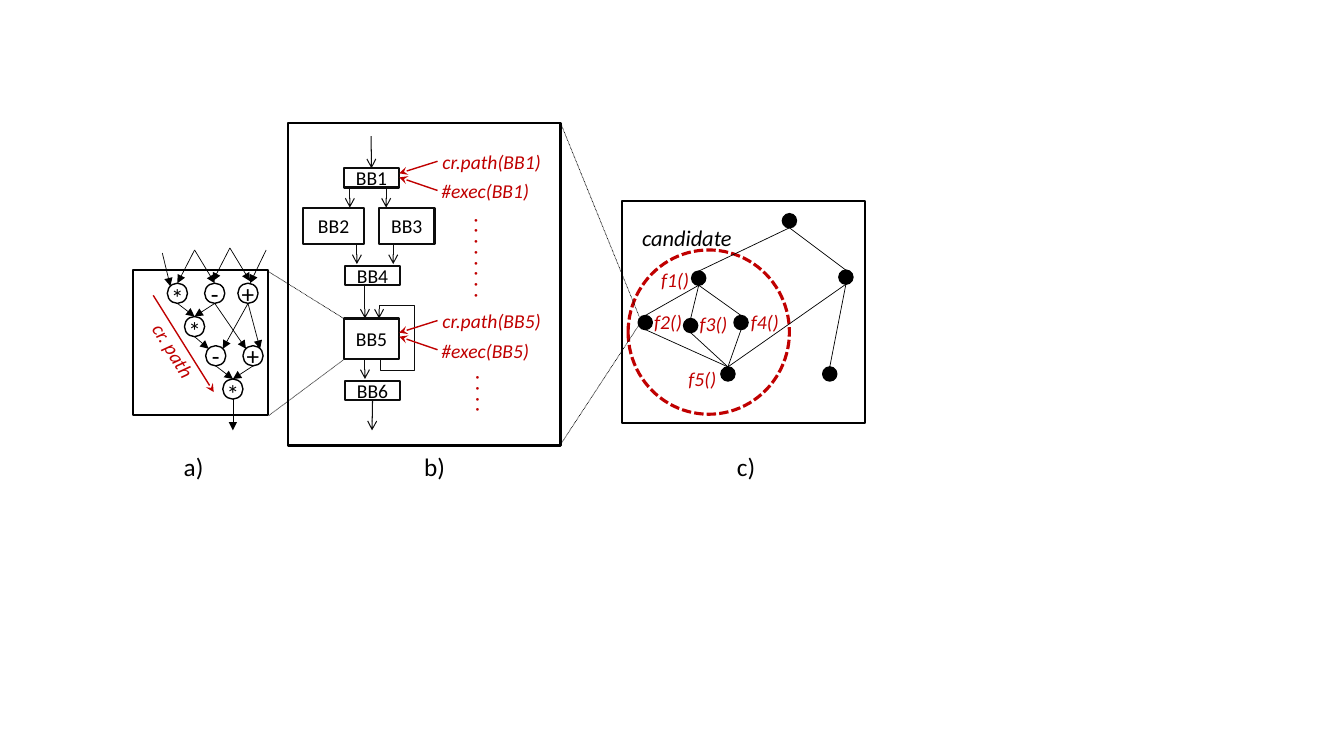
from lxml import etree
from pptx import Presentation, util as u
from pptx.dml.color import RGBColor
from pptx.enum import dml, shapes, text
from pptx.oxml.ns import qn

BLACK, INK, RED = "000000", "0D0D0D", "C00000"
RECT, OVAL = shapes.MSO_SHAPE.RECTANGLE, shapes.MSO_SHAPE.OVAL


def rgb(color):
    return RGBColor.from_string(color)


def set_line(sp, color, width, dash=None, head=None):
    sp.line.color.rgb = rgb(color)
    sp.line.width = u.Pt(width)
    if dash:
        sp.line.dash_style = dash
    if head:
        etree.SubElement(sp.line._get_or_add_ln(), qn("a:tailEnd"), type=head)


def set_text(tf, words, size, color, italic=False):
    tf.word_wrap = False
    p = tf.paragraphs[0]
    p.text = words
    p.font.name, p.font.size, p.font.italic = "Calibri", u.Pt(size), italic
    p.font.color.rgb = rgb(color)
    return p


def add_shape(s, kind, box, color=BLACK, width=1.5, fill=None, dash=None, words=None, size=14):
    sp = s.shapes.add_shape(kind, *map(u.Inches, box))
    sp.shadow.inherit = False
    if fill:
        sp.fill.solid()
        sp.fill.fore_color.rgb = rgb(fill)
    else:
        sp.fill.background()
    set_line(sp, color, width, dash)
    if words:
        tf = sp.text_frame
        tf.margin_left = tf.margin_right = tf.margin_bottom = 0
        tf.margin_top = u.Inches(0.08 if words == "*" else 0)
        tf.vertical_anchor = text.MSO_ANCHOR.MIDDLE
        set_text(tf, words, size, BLACK).alignment = text.PP_ALIGN.CENTER
    return sp


def add_line(s, start, end, color=BLACK, width=0.5, dash=None, head=None):
    ln = s.shapes.add_connector(shapes.MSO_CONNECTOR.STRAIGHT, *map(u.Inches, start + end))
    set_line(ln, color, width, dash, head)
    etree.SubElement(ln._element.spPr, qn("a:effectLst"))
    return ln


def add_label(s, words, x, y, w, size=14, color=RED, italic=True, turn=0, centered=False):
    h = {14: 0.34, 16: 0.37, 18: 0.4}[size]
    tb = s.shapes.add_textbox(*map(u.Inches, (x, y, w, h)))
    tb.rotation = turn
    p = set_text(tb.text_frame, words, size, color, italic)
    tb.text_frame.auto_size = text.MSO_AUTO_SIZE.SHAPE_TO_FIT_TEXT
    if turn or centered:
        p.alignment = text.PP_ALIGN.CENTER


def add_caption(s, words, center):
    add_label(s, words, center - 0.3, 4.43, 0.6, 18, BLACK, False, centered=True)


def dataflow(s, box):
    x, y = box[:2]

    def at(dx, dy):
        return x + dx, y + dy

    add_shape(s, RECT, box)
    r = 0.1
    ops = {"m1": ("*", 0.44, 0.23), "d1": ("-", 0.81, 0.23), "p1": ("+", 1.14, 0.23),
           "m2": ("*", 0.61, 0.56), "d2": ("-", 0.82, 0.85), "p2": ("+", 1.19, 0.85),
           "m3": ("*", 0.99, 1.18)}
    for sign, cx, cy in ops.values():
        add_shape(s, OVAL, at(cx - r, cy - r) + (2 * r, 2 * r), width=1, words=sign, size=18)

    def below(name):
        return at(ops[name][1], ops[name][2] + r)

    for a, b in (("m1", "m2"), ("d1", "m2"), ("d2", "m3"), ("p2", "m3")):
        add_line(s, below(a), at(ops[b][1], ops[b][2] - r), head="triangle")
    for a, end in (("p1", (0.89, 0.78)), ("m2", (0.75, 0.78)), ("p1", (1.26, 0.78)),
                   ("d1", (1.12, 0.78)), ("m3", (0.99, 1.59))):
        add_line(s, below(a), at(*end), head="triangle")
    for start, end in (((0.29, -0.17), (0.37, 0.16)), ((0.61, -0.2), (0.44, 0.13)),
                       ((0.61, -0.2), (0.81, 0.13)), ((0.96, -0.22), (0.79, 0.11)),
                       ((0.96, -0.22), (1.16, 0.11)), ((1.32, -0.2), (1.16, 0.13))):
        add_line(s, at(*start), at(*end), head="triangle")
    add_line(s, at(0.2, 0.25), at(0.8, 1.21), RED, 1, head="stealth")
    add_label(s, "cr. path", x, y + 0.63, 0.8, turn=58.3)


def control_flow(s, box):
    x, y = box[:2]

    def at(dx, dy):
        return x + dx, y + dy

    add_shape(s, RECT, box)
    blocks = {}
    for n, (dx, dy, w, h) in enumerate((
            (0.55, 0.45, 0.55, 0.19), (0.15, 0.84, 0.6, 0.36), (0.9, 0.84, 0.55, 0.36),
            (0.56, 1.42, 0.55, 0.19), (0.55, 1.94, 0.55, 0.4), (0.56, 2.56, 0.55, 0.19)), 1):
        blocks[n] = add_shape(s, RECT, at(dx, dy) + (w, h), INK, words=f"BB{n}")
    for dx, top, bottom in ((0.61, 0.63, 0.84), (0.97, 0.63, 0.84), (0.68, 1.2, 1.4),
                            (1.04, 1.2, 1.4), (0.76, 1.62, 1.94), (0.76, 2.34, 2.54)):
        add_line(s, at(dx, top), at(dx, bottom), INK, 0.75, head="arrow")
    entry = add_line(s, at(0.82, 0.13), at(0.82, 0.45), INK, 0.75, head="arrow")
    entry.end_connect(blocks[1], 0)
    leave = add_line(s, at(0.83, 2.75), at(0.83, 3.05), INK, 0.75, head="arrow")
    leave.begin_connect(blocks[6], 2)

    loop = [tuple(map(u.Inches, at(*pt))) for pt in (
        (0.91, 2.34), (0.91, 2.46), (1.25, 2.46), (1.25, 1.81), (0.9, 1.81), (0.9, 1.94))]
    fb = s.shapes.build_freeform(*loop[0])
    fb.add_line_segments(loop[1:], close=False)
    sp = fb.convert_to_shape()
    sp.shadow.inherit = False
    sp.fill.background()
    set_line(sp, INK, 0.75, head="arrow")

    for n, top in ((1, 0.22), (5, 1.8)):
        add_label(s, f"cr.path(BB{n})", *at(1.43, top), 1.19)
        add_label(s, f"#exec(BB{n})", *at(1.42, top + 0.29), 1.08)
        for start, end in ((0.16, 0.28), (0.45, 0.32)):
            add_line(s, at(1.48, top + start), at(1.1, top + end), RED, 1, head="stealth")
    add_label(s, ". . . . . . . .", *at(1.43, 1.16), 1.01, 16, turn=90)
    add_label(s, ". . . .", *at(1.66, 2.51), 0.58, 16, turn=90)


def call_graph(s, box):
    x, y = box[:2]

    def at(dx, dy):
        return x + dx, y + dy

    add_shape(s, OVAL, at(0.06, 0.49) + (1.6, 1.63), RED, 2.25, dash=dml.MSO_LINE.SQUARE_DOT)
    add_shape(s, RECT, box)
    add_label(s, "candidate", *at(0.1, 0.18), 1.1, 16, BLACK)
    r = 0.07
    nodes = {"f1": (0.76, 0.77), "f2": (0.23, 1.21), "f3": (0.68, 1.24), "f4": (1.18, 1.21),
             "f5": (1.05, 1.72), "root": (1.66, 0.2), "right": (2.22, 0.76), "leaf": (2.06, 1.72)}
    for cx, cy in nodes.values():
        add_shape(s, OVAL, at(cx - r, cy - r) + (2 * r, 2 * r), width=1, fill=BLACK)
    calls = {"root": ("f1", "right"), "f1": ("f2", "f3", "f4"), "f2": ("f5",),
             "f3": ("f5",), "f4": ("f5",), "right": ("f5", "leaf")}
    for caller, callees in calls.items():
        cx, cy = nodes[caller]
        for callee in callees:
            ex, ey = nodes[callee]
            add_line(s, at(cx, cy + r), at(ex, ey - r))
    for n, pos in enumerate(((0.29, 0.62), (0.22, 1.04), (0.67, 1.06), (1.18, 1.04), (0.56, 1.6)), 1):
        add_label(s, f"f{n}()", *at(*pos), 0.48)


def zoom_lines(s, pairs):
    for start, end in pairs:
        add_line(s, start, end, dash=dml.MSO_LINE.ROUND_DOT)


def main():
    prs = Presentation()
    prs.slide_width, prs.slide_height = u.Inches(13.33), u.Inches(7.5)
    s = prs.slides.add_slide(prs.slide_layouts[6])
    dataflow(s, (1.32, 2.68, 1.34, 1.44))
    control_flow(s, (2.86, 1.22, 2.7, 3.2))
    call_graph(s, (6.17, 1.99, 2.41, 2.21))
    zoom_lines(s, (((2.64, 2.68), (3.41, 3.16)), ((2.67, 4.12), (3.42, 3.56)),
                   ((5.56, 1.22), (6.34, 3.14)), ((5.56, 4.41), (6.34, 3.22))))
    for words, center in (("a)", 1.92), ("b)", 4.31), ("c)", 7.4)):
        add_caption(s, words, center)
    prs.save("out.pptx")


if __name__ == "__main__":
    main()
